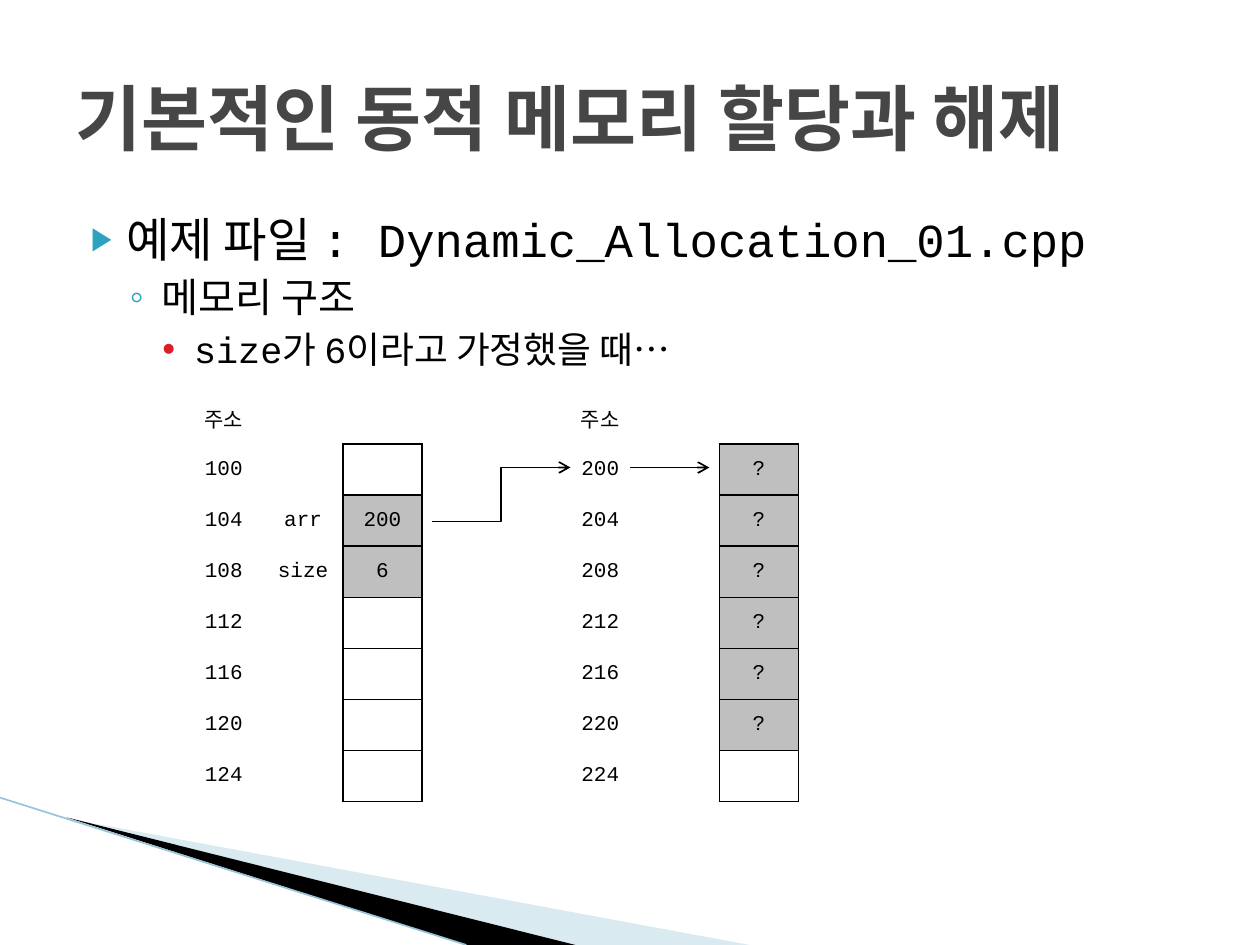
from lxml import etree
from pptx import Presentation
from pptx.dml.color import RGBColor
from pptx.enum.shapes import MSO_CONNECTOR
from pptx.enum.text import MSO_ANCHOR, MSO_AUTO_SIZE, PP_ALIGN
from pptx.oxml.ns import qn
from pptx.util import Cm, Pt

STRAIGHT, ELBOW = MSO_CONNECTOR.STRAIGHT, MSO_CONNECTOR.ELBOW
MIDDLE, TOP = MSO_ANCHOR.MIDDLE, MSO_ANCHOR.TOP
LEFT, CENTER = PP_ALIGN.LEFT, PP_ALIGN.CENTER
NO_FIT = MSO_AUTO_SIZE.NONE

BLACK = RGBColor(0, 0, 0)
WHITE = RGBColor(255, 255, 255)
GREY = RGBColor(0xBF, 0xBF, 0xBF)
TITLE_GREY = RGBColor(0x46, 0x46, 0x46)
TEAL = RGBColor(0x2D, 0xA2, 0xBF)
RED = RGBColor(0xDA, 0x1F, 0x28)
PALE_BLUE = RGBColor(0xA0, 0xCB, 0xDC)
EDGE_BLUE = RGBColor(0x97, 0xC5, 0xD8)
FONT = "Courier New"

COL_W, ROW_H = 1.6, 1.03
BULLETS = [
    ("예제 파일 : Dynamic_Allocation_01.cpp", 27, 4, 1.02, -0.71, "▶", TEAL, 68),
    ("메모리 구조", 23, 3.2, 1.73, -0.64, "◦", TEAL, 100),
    ("size가 6이라고 가정했을 때…", 21, 3.5, 2.39, -0.64, "•", RED, 100),
]
STACK = [("주소", "", ""), ("100", "", ""), ("104", "arr", "200"), ("108", "size", "6")]
STACK += [(str(a), "", "") for a in range(112, 128, 4)]
HEAP = [("주소", "", "")]
HEAP += [(str(a), "", "?" if a < 224 else "") for a in range(200, 228, 4)]


def set_font(font, size, color=BLACK, bold=False):
    """Apply the common typeface with a size, colour and weight."""
    font.name, font.size, font.bold = FONT, Pt(size), bold
    font.color.rgb = color


def place(sp, x, y, w, h):
    """Move a shape into a box given in centimetres."""
    sp.left, sp.top, sp.width, sp.height = Cm(x), Cm(y), Cm(w), Cm(h)


def add_line(s, kind, x1, y1, x2, y2, color=BLACK, width=1, arrow=True):
    """Draw a connector, optionally with an open arrowhead at its end."""
    sp = s.shapes.add_connector(kind, Cm(x1), Cm(y1), Cm(x2), Cm(y2))
    sp.line.color.rgb, sp.line.width = color, Pt(width)
    if arrow:
        etree.SubElement(sp.line._get_or_add_ln(), qn("a:tailEnd"), type="arrow")
    etree.SubElement(sp.element.spPr, qn("a:effectLst"))
    return sp


def add_wedge(s, points, color, alpha=100):
    """Draw a filled polygon without outline."""
    pts = [(Cm(x), Cm(y)) for x, y in points]
    fb = s.shapes.build_freeform(*pts[0], scale=1.0)
    fb.add_line_segments(pts[1:], close=True)
    sp = fb.convert_to_shape()
    sp.shadow.inherit = False
    sp.fill.solid()
    sp.fill.fore_color.rgb = color
    sp.line.fill.background()
    if alpha < 100:
        clr = sp.element.spPr.find(".//" + qn("a:srgbClr"))
        etree.SubElement(clr, qn("a:alpha"), val=str(alpha * 1000))
    return sp


def add_corner(s, x, y, w, h):
    """Draw the wedges and edge line in the lower left corner, behind the text."""
    bottom = y + h
    parts = [
        add_wedge(s, [(x + 1.4, y + 0.43), (x + 15.11, bottom), (x + 11.58, bottom)],
                  PALE_BLUE, 40),
        add_wedge(s, [(x + 1.35, y + 0.4), (x + 11.6, bottom), (x + w, bottom)], BLACK),
        add_line(s, STRAIGHT, x, y, x + w, bottom, EDGE_BLUE, 0.95, False),
    ]
    for sp in parts:
        s.shapes.title.element.addprevious(sp.element)


def fill_title(sp, text, x, y, w, h):
    """Fill the title placeholder."""
    place(sp, x, y, w, h)
    tf = sp.text_frame
    tf.text, tf.auto_size, tf.vertical_anchor = text, NO_FIT, MIDDLE
    p = tf.paragraphs[0]
    p.alignment = LEFT
    set_font(p.font, 41, TITLE_GREY, True)


def fill_body(sp, items, x, y, w, h):
    """Fill the body placeholder with one bullet per outline level."""
    place(sp, x, y, w, h)
    tf = sp.text_frame
    tf.text = "\n".join(item[0] for item in items)
    tf.auto_size, tf.vertical_anchor = NO_FIT, TOP
    for level, (p, item) in enumerate(zip(tf.paragraphs, items)):
        _, size, before, margin, indent, char, color, pct = item
        p.level, p.space_before = level, Pt(before)
        set_font(p.font, size)
        pPr = p._p.get_or_add_pPr()
        pPr.set("marL", str(Cm(margin)))
        pPr.set("indent", str(Cm(indent)))
        clr = etree.Element(qn("a:buClr"))
        etree.SubElement(clr, qn("a:srgbClr"), val=str(color))
        bullet = [clr, etree.Element(qn("a:buSzPct"), val=str(pct * 1000)),
                  etree.Element(qn("a:buFont"), typeface="Arial"),
                  etree.Element(qn("a:buChar"), char=char)]
        defRPr = pPr.find(qn("a:defRPr"))
        for el in bullet:
            defRPr.addprevious(el)


def add_borders(cell, sides):
    """Give a cell black borders on the listed sides."""
    tcPr = cell._tc.get_or_add_tcPr()
    for i, side in enumerate(sides):
        ln = etree.Element(qn("a:ln" + side), w=str(Pt(1)))
        fill = etree.SubElement(ln, qn("a:solidFill"))
        etree.SubElement(fill, qn("a:srgbClr"), val=str(BLACK))
        tcPr.insert(i, ln)


def add_memory(s, rows, x, y):
    """Draw a memory table of address, name and boxed value."""
    n = len(rows)
    tbl = s.shapes.add_table(n, 3, Cm(x), Cm(y), Cm(3 * COL_W), Cm(n * ROW_H)).table
    tbl.first_row = tbl.horz_banding = False
    for col in tbl.columns:
        col.width = Cm(COL_W)
    for i, row in enumerate(rows):
        tbl.rows[i].height = Cm(ROW_H)
        for j, text in enumerate(row):
            cell = tbl.cell(i, j)
            cell.text, cell.vertical_anchor = text, MIDDLE
            cell.fill.solid()
            cell.fill.fore_color.rgb = GREY if j == 2 and text else WHITE
            p = cell.text_frame.paragraphs[0]
            p.alignment = CENTER
            set_font(p.font, 12)
        add_borders(tbl.cell(i, 2), "LRTB" if i else "B")
        if i:
            add_borders(tbl.cell(i, 1), "R")


def build_slide(prs):
    """Compose the dynamic memory slide."""
    s = prs.slides.add_slide(prs.slide_layouts[1])
    fill_title(s.shapes.title, "기본적인 동적 메모리 할당과 해제", 1.27, 0.76, 22.86, 3.18)
    fill_body(s.placeholders[1], BULLETS, 1.27, 4.11, 22.86, 12.57)
    add_corner(s, 0, 16.08, 9.4, 2.97)
    stack_x, heap_x, top = 3.71, 11.3, 7.92
    add_memory(s, STACK, stack_x, top)
    add_memory(s, HEAP, heap_x, top)
    first = top + 1.5 * ROW_H - 0.04
    add_line(s, ELBOW, stack_x + 5, first + 1.09, heap_x + 0.2, first)
    add_line(s, STRAIGHT, heap_x + 1.4, first, heap_x + 3, first)


prs = Presentation()
prs.slide_width, prs.slide_height = Cm(25.4), Cm(19.05)
build_slide(prs)
prs.save("out.pptx")
